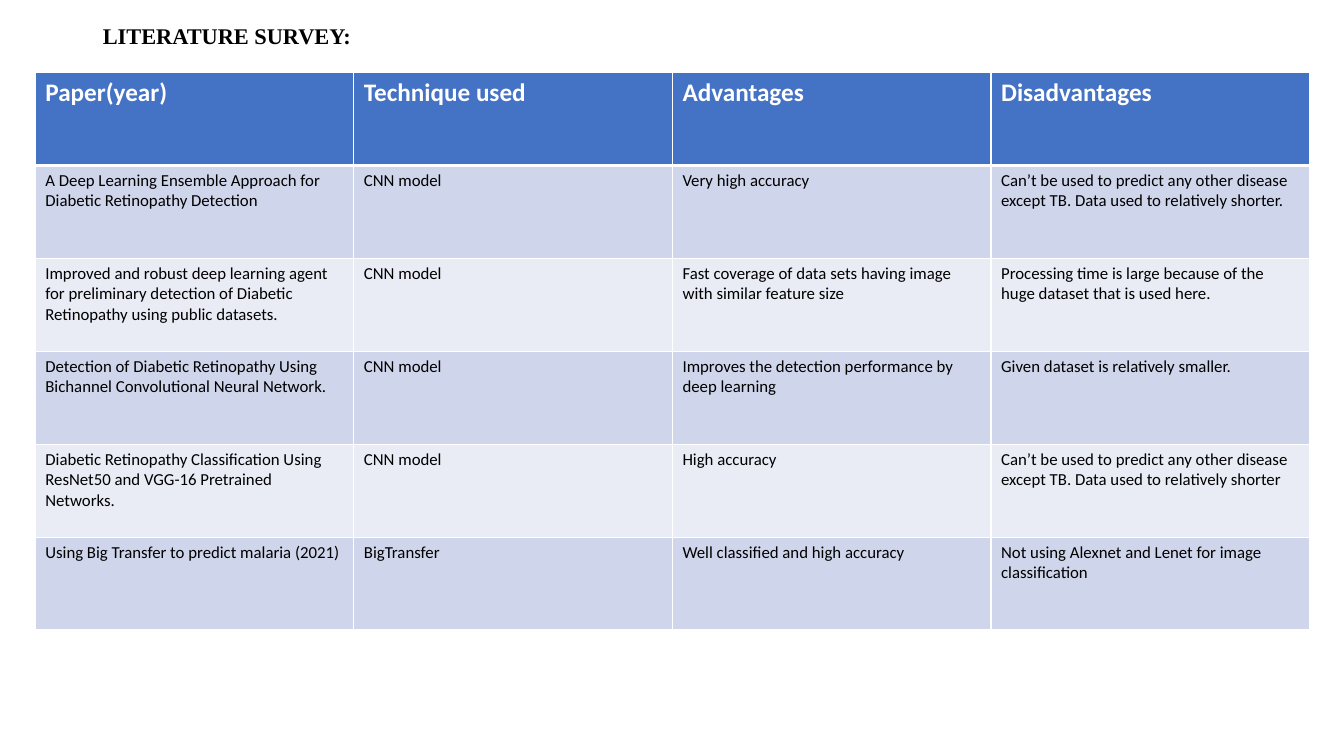
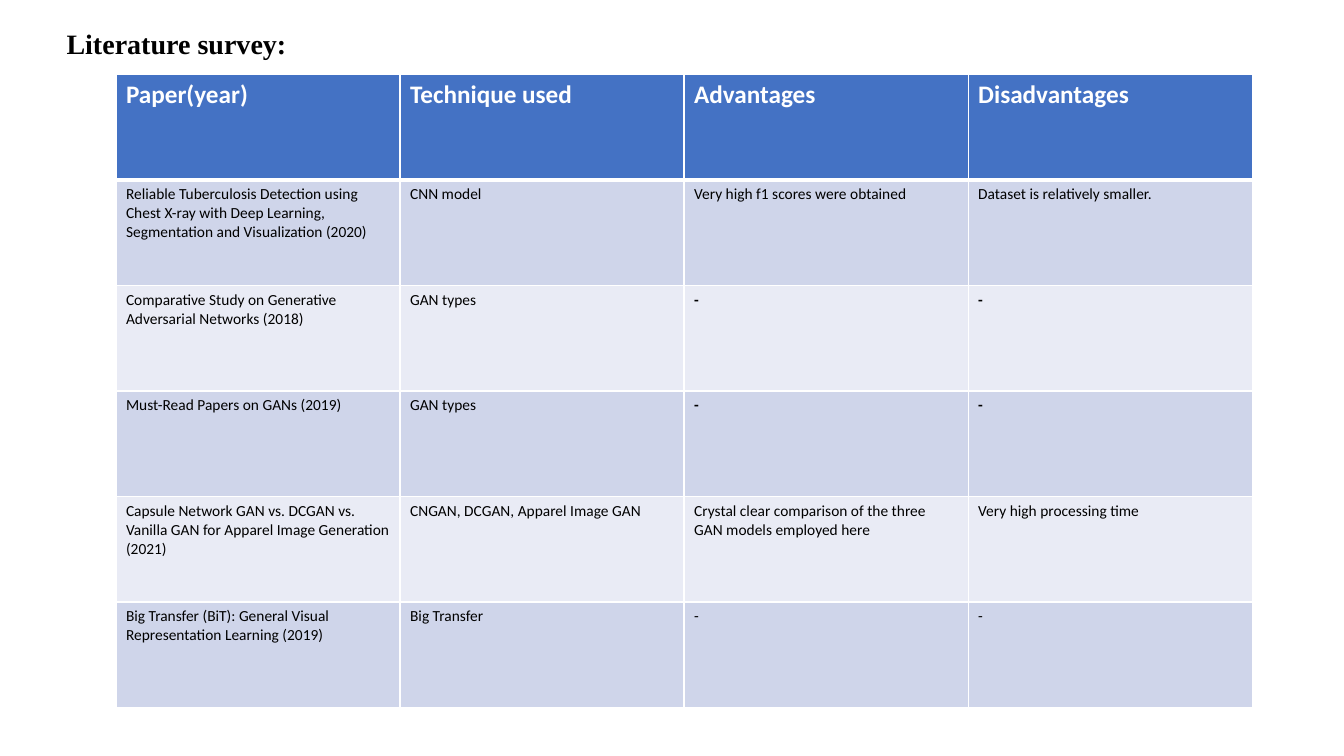
from dataclasses import dataclass

from lxml import etree
from pptx import Presentation
from pptx.dml.color import RGBColor
from pptx.enum.text import MSO_ANCHOR, MSO_AUTO_SIZE, PP_ALIGN
from pptx.oxml.ns import qn
from pptx.util import Inches, Pt

LEFT, MIDDLE, NO_AUTOFIT = PP_ALIGN.LEFT, MSO_ANCHOR.MIDDLE, MSO_AUTO_SIZE.NONE
TITLE_ONLY = 5


@dataclass(frozen=True)
class Theme:
    title_font: str = "Times New Roman"
    body_font: str = "Calibri"
    black: str = "000000"
    white: str = "FFFFFF"
    header_fill: str = "4472C4"
    band_fills: tuple = ("CFD5EA", "E9EBF5")
    header_size: int = 18
    thin_rule: int = 1
    header_rule: int = 3


THEME = Theme()

HEADERS = ("Paper(year)", "Technique used", "Advantages", "Disadvantages")

SURVEYS = [
    {
        "title": "LITERATURE SURVEY:",
        "title_size": 16,
        "title_at": (0.92, 0.02, 11.5, 0.7),
        "table_at": (0.35, 0.72, 12.64, 5.53),
        "body_size": 12,
        "bold_cells": (),
        "rows": [
            ("A Deep Learning Ensemble Approach for Diabetic Retinopathy Detection",
             "CNN model",
             "Very high accuracy",
             "Can’t be used to predict any other disease except TB. "
             "Data used to relatively shorter."),
            ("Improved and robust deep learning agent for preliminary detection of "
             "Diabetic Retinopathy using public datasets.",
             "CNN model",
             "Fast coverage of data sets having image with similar feature size",
             "Processing time is large because of the huge dataset that is used here."),
            ("Detection of Diabetic Retinopathy Using Bichannel Convolutional "
             "Neural Network.",
             "CNN model",
             "Improves the detection performance by deep learning",
             "Given dataset is relatively smaller."),
            ("Diabetic Retinopathy Classification Using ResNet50 and VGG-16 "
             "Pretrained Networks.",
             "CNN model",
             "High accuracy",
             "Can’t be used to predict any other disease except TB. "
             "Data used to relatively shorter"),
            ("Using Big Transfer to predict malaria (2021)",
             "BigTransfer",
             "Well classified and high accuracy",
             "Not using Alexnet and Lenet for image classification"),
        ],
    },
    {
        "title": "Literature survey:",
        "title_size": 20,
        "title_at": (0.56, 0.16, 11.5, 0.59),
        "table_at": (1.15, 0.74, 11.27, 6.28),
        "body_size": 11,
        "bold_cells": ((2, 2), (2, 3), (3, 2), (3, 3)),
        "rows": [
            ("Reliable Tuberculosis Detection using Chest X-ray with Deep Learning, "
             "Segmentation and Visualization (2020)",
             "CNN model",
             "Very high f1 scores were obtained",
             "Dataset is relatively smaller."),
            ("Comparative Study on Generative Adversarial Networks (2018)",
             "GAN types", "-", "-"),
            ("Must-Read Papers on GANs (2019)", "GAN types", "-", "-"),
            ("Capsule Network GAN vs. DCGAN vs. Vanilla GAN for Apparel Image "
             "Generation (2021)",
             "CNGAN, DCGAN, Apparel Image GAN",
             "Crystal clear comparison of the three GAN models employed here",
             "Very high processing time"),
            ("Big Transfer (BiT): General Visual Representation Learning (2019)",
             "Big Transfer", "-", "-"),
        ],
    },
]


def set_font(paragraph, name, size, color, bold):
    font = paragraph.font
    font.name, font.size, font.bold = name, Pt(size), bold
    font.color.rgb = RGBColor.from_string(color)


def set_borders(cell, top, bottom):
    """Rule all four sides in white; top and bottom are widths in points."""
    properties = cell._tc.get_or_add_tcPr()
    sides = {"L": THEME.thin_rule, "R": THEME.thin_rule, "T": top, "B": bottom}
    for position, (side, width) in enumerate(sides.items()):
        line = etree.Element(qn(f"a:ln{side}"), w=str(Pt(width)))
        fill = etree.SubElement(line, qn("a:solidFill"))
        etree.SubElement(fill, qn("a:srgbClr"), val=THEME.white)
        properties.insert(position, line)


def format_title(title, survey):
    title.left, title.top, title.width, title.height = map(Inches, survey["title_at"])
    frame = title.text_frame
    frame.text = survey["title"]
    frame.auto_size, frame.vertical_anchor = NO_AUTOFIT, MIDDLE
    para = frame.paragraphs[0]
    para.alignment, para.line_spacing = LEFT, 0.9
    set_font(para, THEME.title_font, survey["title_size"], THEME.black, True)


def format_cell(cell, text, row, size, bold):
    is_header = row == 0
    fill = THEME.header_fill if is_header else THEME.band_fills[(row - 1) % 2]
    cell.text = text
    cell.fill.solid()
    cell.fill.fore_color.rgb = RGBColor.from_string(fill)
    set_borders(cell,
                top=THEME.header_rule if row == 1 else THEME.thin_rule,
                bottom=THEME.header_rule if is_header else THEME.thin_rule)
    set_font(cell.text_frame.paragraphs[0], THEME.body_font,
             THEME.header_size if is_header else size,
             THEME.white if is_header else THEME.black,
             is_header or bold)


def add_survey_table(page, survey):
    rows = [HEADERS, *survey["rows"]]
    frame = page.shapes.add_table(len(rows), len(HEADERS),
                                  *map(Inches, survey["table_at"]))
    for row, texts in enumerate(rows):
        for column, text in enumerate(texts):
            format_cell(frame.table.cell(row, column), text, row, survey["body_size"],
                        (row, column) in survey["bold_cells"])


def main():
    deck = Presentation()
    deck.slide_width, deck.slide_height = Inches(13.33), Inches(7.5)
    for survey in SURVEYS:
        page = deck.slides.add_slide(deck.slide_layouts[TITLE_ONLY])
        format_title(page.shapes.title, survey)
        add_survey_table(page, survey)
    deck.save("out.pptx")


if __name__ == "__main__":
    main()
